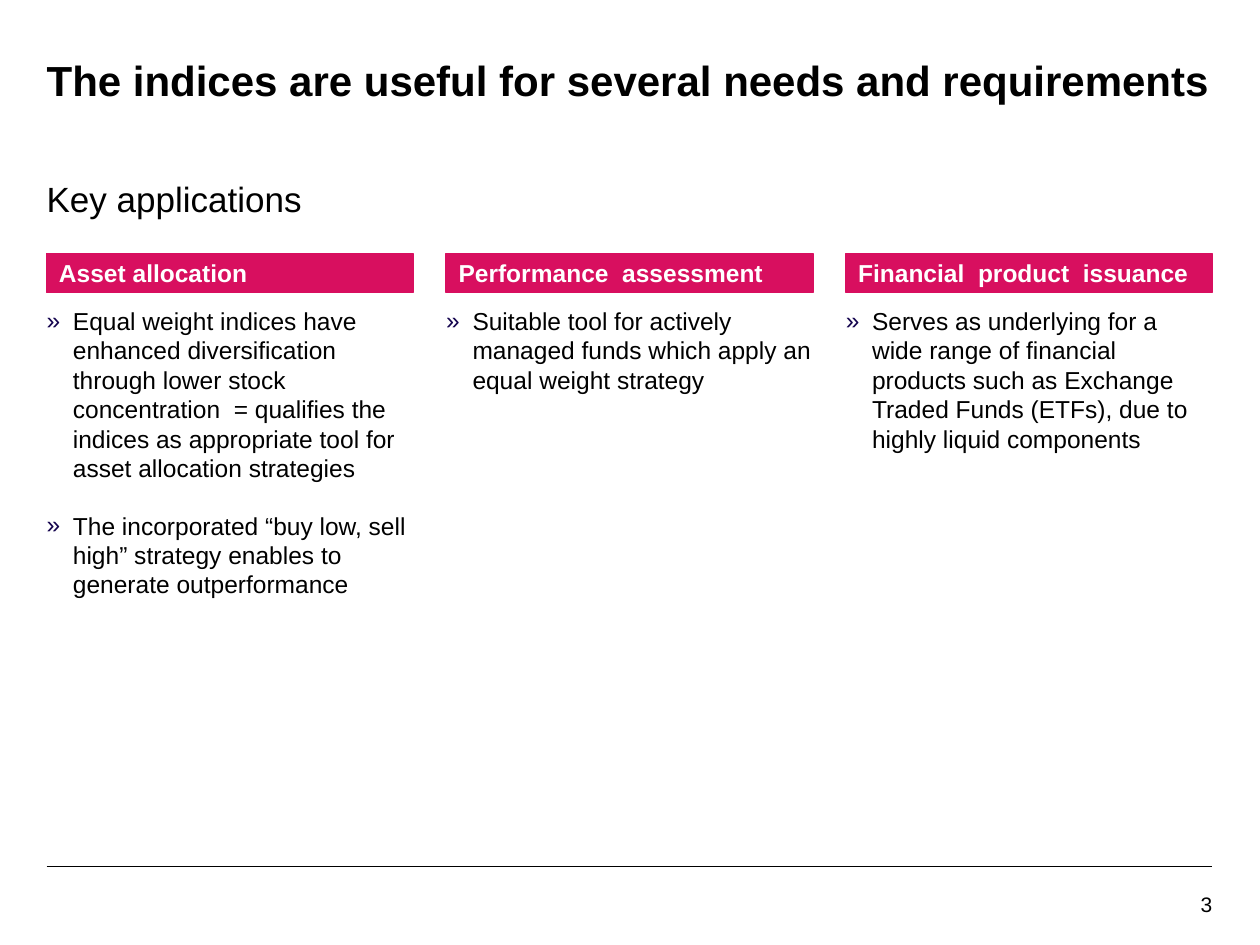
from lxml.etree import SubElement
from pptx import Presentation
from pptx.dml.color import RGBColor
from pptx.enum.shapes import MSO_CONNECTOR, MSO_SHAPE
from pptx.enum.text import MSO_ANCHOR, MSO_AUTO_SIZE, PP_ALIGN
from pptx.oxml.ns import qn
from pptx.util import Cm, Pt

BLACK = RGBColor(0x00, 0x00, 0x00)
WHITE = RGBColor(0xFF, 0xFF, 0xFF)
PINK = RGBColor(0xD8, 0x0F, 0x5F)
NAVY = RGBColor(0x14, 0x04, 0x4E)

LEFT, WIDTH = 0.94, 23.5
COLUMN_WIDTH = 7.39
COLUMNS = [
    ("Asset allocation", 6.25, [
        "Equal weight indices have enhanced diversification through lower stock "
        "concentration  = qualifies the indices as appropriate tool for asset "
        "allocation strategies",
        "The incorporated “buy low, sell high” strategy enables to generate "
        "outperformance"]),
    ("Performance  assessment", 1.7, [
        "Suitable tool for actively managed funds which apply an equal weight "
        "strategy"]),
    ("Financial  product  issuance", 2.84, [
        "Serves as underlying for a wide range of financial products such as "
        "Exchange Traded Funds (ETFs), due to highly liquid components"]),
]


def set_attributes(target, values):
    for name, value in values.items():
        setattr(target, name, value)


def place(shape, left, top, width, height):
    set_attributes(shape, {"left": Cm(left), "top": Cm(top),
                           "width": Cm(width), "height": Cm(height)})


def write(shape, texts, size, bold=False, color=BLACK, align=PP_ALIGN.LEFT,
          anchor=MSO_ANCHOR.TOP, inset=0, gap=0):
    """Fill the shape with one paragraph per text, gap points apart."""
    frame = shape.text_frame
    set_attributes(frame, {
        "word_wrap": True, "auto_size": MSO_AUTO_SIZE.NONE,
        "vertical_anchor": anchor, "margin_left": Cm(inset),
        "margin_top": 0, "margin_right": 0, "margin_bottom": 0})
    frame.text = "\n".join(texts)
    for index, paragraph in enumerate(frame.paragraphs):
        set_attributes(paragraph, {
            "alignment": align, "line_spacing": 1.0, "space_after": Pt(0),
            "space_before": Pt(gap if index else 0)})
        font = paragraph.runs[0].font
        set_attributes(font, {"name": "Arial", "size": Pt(size), "bold": bold})
        font.color.rgb = color


def set_bullet(paragraph, character=None, indent=0.0):
    properties = paragraph._p.get_or_add_pPr()
    properties.set("marL", str(Cm(indent)))
    properties.set("indent", str(-Cm(indent)))
    if character is None:
        SubElement(properties, qn("a:buNone"))
        return
    color = SubElement(properties, qn("a:buClr"))
    SubElement(color, qn("a:srgbClr"), val=str(NAVY))
    SubElement(properties, qn("a:buFont"), typeface="Arial")
    SubElement(properties, qn("a:buChar"), char=character)


def add_header(title, subtitle, left, top, width):
    place(title, left, top, width, 2.13)
    write(title, ["The indices are useful for several needs and requirements"],
          24, bold=True)
    place(subtitle, left, top + 2.49, width, 0.86)
    write(subtitle, ["Key applications"], 20)
    set_bullet(subtitle.text_frame.paragraphs[0])


def add_column(slide, body, column, left, top, width):
    heading, list_height, items = column
    bar = slide.shapes.add_shape(MSO_SHAPE.RECTANGLE, 0, 0, 0, 0)
    place(bar, left, top, width, 0.79)
    bar.shadow.inherit = False
    bar.fill.solid()
    bar.fill.fore_color.rgb = PINK
    bar.line.color.rgb = PINK
    bar.line.width = Pt(1)
    write(bar, [heading], 14, bold=True, color=WHITE,
          anchor=MSO_ANCHOR.MIDDLE, inset=0.25)

    place(body, left, top + 1.06, width, list_height)
    write(body, items, 14, gap=16)
    for paragraph in body.text_frame.paragraphs:
        set_bullet(paragraph, "»", 0.53)


def add_footer(slide, left, top, width):
    rule = slide.shapes.add_connector(
        MSO_CONNECTOR.STRAIGHT, Cm(left), Cm(top), Cm(left + width), Cm(top))
    rule.line.color.rgb = BLACK
    rule.line.width = Pt(1)
    SubElement(rule._element.spPr, qn("a:effectLst"))
    number = slide.shapes.add_textbox(0, 0, 0, 0)
    place(number, left + width - 2.08, top + 0.5, 2.08, 0.49)
    write(number, ["3"], 12, align=PP_ALIGN.RIGHT)


def main():
    presentation = Presentation()
    set_attributes(presentation, {"slide_width": Cm(25.4),
                                  "slide_height": Cm(19.05)})
    comparison_layout = presentation.slide_layouts[4]
    slide = presentation.slides.add_slide(comparison_layout)
    title, subtitle, *bodies = slide.placeholders

    add_header(title, subtitle, LEFT, 1.09, WIDTH)
    step = (WIDTH - COLUMN_WIDTH) / (len(COLUMNS) - 1)
    for index, (body, column) in enumerate(zip(bodies, COLUMNS)):
        add_column(slide, body, column, LEFT + index * step, 5.11, COLUMN_WIDTH)
    add_footer(slide, LEFT, 17.47, WIDTH)
    presentation.save("out.pptx")


if __name__ == "__main__":
    main()
